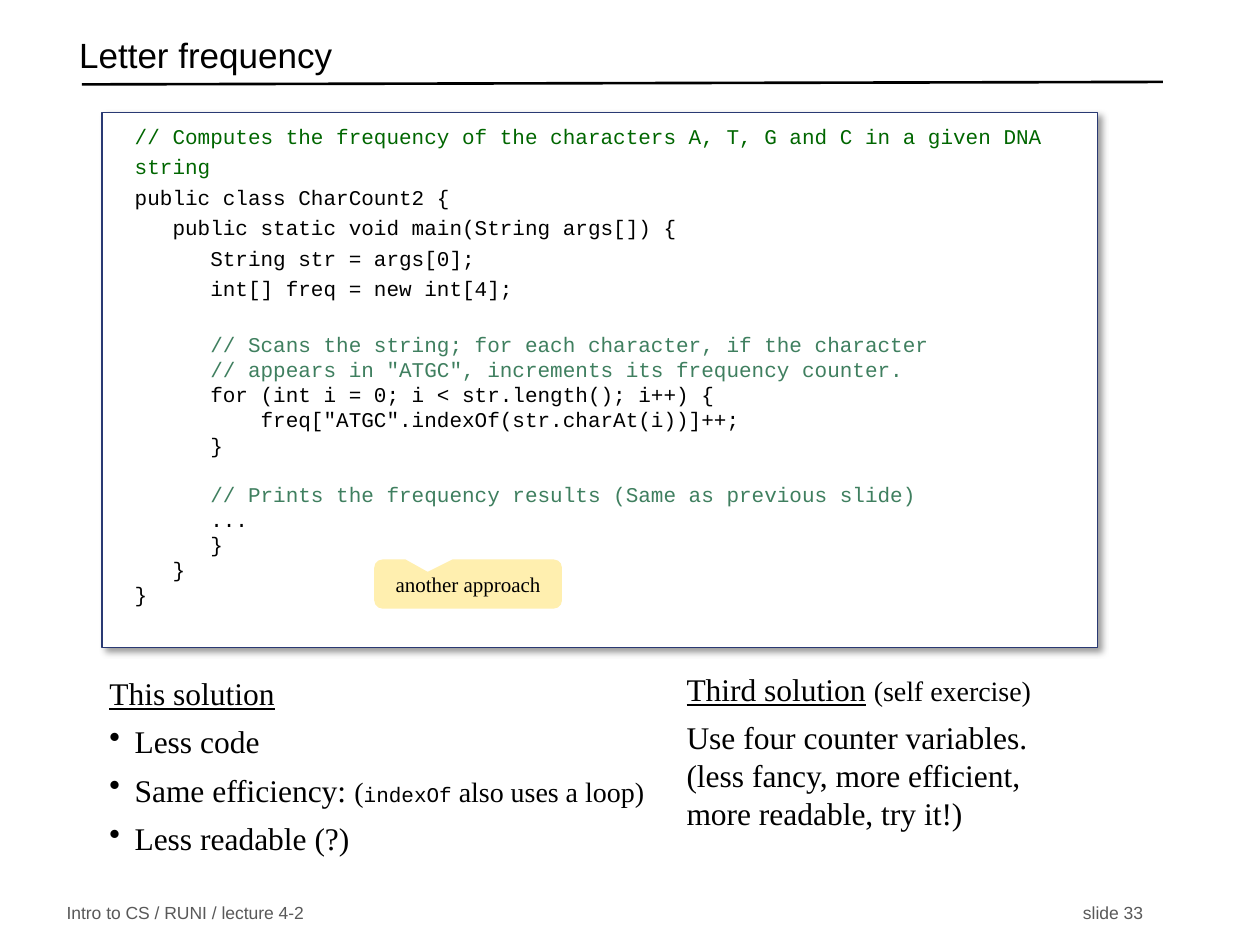
from lxml import etree
from pptx import Presentation
from pptx.dml.color import RGBColor
from pptx.enum.shapes import MSO_CONNECTOR, MSO_SHAPE
from pptx.enum.text import MSO_ANCHOR, PP_ALIGN
from pptx.oxml import parse_xml
from pptx.oxml.ns import qn
from pptx.util import Inches, Pt

LEFT, CENTER, RIGHT = PP_ALIGN.LEFT, PP_ALIGN.CENTER, PP_ALIGN.RIGHT
TOP, MIDDLE = MSO_ANCHOR.TOP, MSO_ANCHOR.MIDDLE
SANS, SERIF, MONO = "Arial", "Times New Roman", "Courier New"
COLORS = {
    "black": "000000", "white": "FFFFFF", "footer": "595959", "border": "293973",
    "header_comment": "006600", "comment": "3F7F5F", "callout": "FFEFAF",
}
DRAWING_NS = "http://schemas.openxmlformats.org/drawingml/2006/main"

TITLE = "Letter frequency"
FOOTERS = [("Intro to CS / RUNI / lecture 4-2", LEFT), ("slide 33", RIGHT)]
CALLOUT = "another approach"

OPENING_CODE = [
    "// Computes the frequency of the characters A, T, G and C in a given DNA string",
    "public class CharCount2 {",
    "   public static void main(String args[]) {",
    "      String str = args[0];",
    "      int[] freq = new int[4];",
]
SCAN_CODE = [
    "      // Scans the string; for each character, if the character",
    '      // appears in "ATGC", increments its frequency counter.',
    "      for (int i = 0; i < str.length(); i++) {",
    '          freq["ATGC".indexOf(str.charAt(i))]++;',
    "      }",
]
PRINT_CODE = [
    "      // Prints the frequency results (Same as previous slide)",
    "      ...",
    "      }",
    "   }",
    "}",
]
CODE_BLOCKS = [
    (OPENING_CODE, "header_comment", 17.4, 0),
    (SCAN_CODE, "comment", None, 17.4),
    (PRINT_CODE, "comment", None, 13.6),
]

HEADING = {"underline": True}
SMALL = {"size": 16}
THIS_SOLUTION = [
    {"runs": [("This solution", HEADING)]},
    {"runs": [("Less code", {})], "bullet": True},
    {"runs": [("Same efficiency: ", {}), ("(", SMALL),
              ("indexOf", {"size": 12, "font": MONO}),
              (" also uses a loop)", SMALL)], "bullet": True},
    {"runs": [("Less readable (?)", {})], "bullet": True},
]
THIRD_SOLUTION = [
    {"runs": [("Third solution", HEADING), (" ", {}), ("(self exercise)", SMALL)]},
    {"runs": [("Use four counter variables.\n(less fancy, more efficient,\n"
               "more readable, try it!)", {})]},
]
SOLUTIONS = [(0.77, 5.30, 4.76, THIS_SOLUTION), (5.35, 5.27, 4.45, THIRD_SOLUTION)]


def rgb(name):
    return RGBColor.from_string(COLORS[name])


def add_bullet(paragraph):
    properties = paragraph._p.get_or_add_pPr()
    properties.set("marL", str(Inches(0.2)))
    properties.set("indent", str(Inches(-0.2)))
    etree.SubElement(properties, qn("a:buChar")).set("char", "•")


def write(shape, paragraphs, size=18, font=SERIF, color="black", align=LEFT,
          anchor=TOP, insets=(0.1, 0.05, 0.1, 0.05), wrap=True, gap=0, spacing=None):
    frame = shape.text_frame
    frame.word_wrap = wrap
    frame.vertical_anchor = anchor
    (frame.margin_left, frame.margin_top,
     frame.margin_right, frame.margin_bottom) = map(Inches, insets)
    if isinstance(paragraphs, str):
        paragraphs = [{"runs": [(paragraphs, {})]}]
    for index, content in enumerate(paragraphs):
        paragraph = frame.add_paragraph() if index else frame.paragraphs[0]
        if content.get("bullet"):
            add_bullet(paragraph)
        paragraph.alignment = align
        paragraph.space_before = Pt(content.get("gap", gap) if index else 0)
        line_spacing = content.get("spacing", spacing)
        if line_spacing:
            paragraph.line_spacing = line_spacing
        for text, style in content["runs"]:
            for part, line in enumerate(text.split("\n")):
                if part:
                    paragraph.add_line_break()
                run = paragraph.add_run()
                run.text = line
                run.font.size = Pt(style.get("size", size))
                run.font.name = style.get("font", font)
                run.font.color.rgb = rgb(style.get("color", color))
                run.font.underline = style.get("underline", False)


def add_box(slide, left, top, width, height, preset=None, fill=None):
    place = [Inches(length) for length in (left, top, width, height)]
    if preset is None:
        return slide.shapes.add_textbox(*place)
    shape = slide.shapes.add_shape(preset, *place)
    shape.shadow.inherit = False
    shape.fill.solid()
    shape.fill.fore_color.rgb = rgb(fill)
    shape.line.fill.background()
    return shape


def code_paragraphs():
    paragraphs = []
    for lines, comment_color, spacing, gap in CODE_BLOCKS:
        for index, line in enumerate(lines):
            is_comment = line.lstrip().startswith("//")
            color = comment_color if is_comment else "black"
            paragraphs.append({
                "runs": [(line, {"color": color})],
                "spacing": Pt(spacing) if spacing else None,
                "gap": 0 if index else gap,
            })
    return paragraphs


def add_code_panel(slide):
    panel = add_box(slide, 0.81, 0.89, 7.9, 4.25, MSO_SHAPE.RECTANGLE, "white")
    panel.line.color.rgb = rgb("border")
    panel.line.width = Pt(0.75)
    effects = panel._element.spPr.find(qn("a:effectLst"))
    effects.append(parse_xml(
        f'<a:outerShdw xmlns:a="{DRAWING_NS}" blurRad="{Pt(4)}" dist="{Pt(3)}" '
        f'dir="{45 * 60000}" algn="tl" rotWithShape="0">'
        f'<a:srgbClr val="{COLORS["black"]}"><a:alpha val="40000"/></a:srgbClr>'
        '</a:outerShdw>'))
    write(panel, code_paragraphs(), size=12, font=MONO, insets=(0.26, 0.05, 0, 0.19))


def add_title_rule(slide):
    rule = slide.shapes.add_connector(
        MSO_CONNECTOR.STRAIGHT, Inches(0.65), Inches(0.67), Inches(9.23), Inches(0.65))
    rule.line.color.rgb = rgb("black")
    rule.line.width = Pt(1.5)
    etree.SubElement(rule._element.spPr, qn("a:effectLst"))


def main():
    deck = Presentation()
    deck.slide_width, deck.slide_height = Inches(10), Inches(7.5)
    slide = deck.slides.add_slide(deck.slide_layouts[6])

    add_title_rule(slide)
    for text, align in FOOTERS:
        footer = add_box(slide, 0.43, 7.14, 8.74, 0.21)
        write(footer, text, size=10, font=SANS, color="footer", align=align, anchor=MIDDLE)
    write(add_box(slide, 0.53, 0.22, 8.6, 0.5), TITLE,
          size=20, font=SANS, anchor=MIDDLE, spacing=0.7)

    add_code_panel(slide)

    callout = add_box(slide, 2.97, 4.44, 1.49, 0.39,
                      MSO_SHAPE.ROUNDED_RECTANGULAR_CALLOUT, "callout")
    for index, value in enumerate((-0.215, -0.247, 0.167)):
        callout.adjustments[index] = value
    write(callout, CALLOUT, size=12, align=CENTER, anchor=MIDDLE)

    for left, top, width, paragraphs in SOLUTIONS:
        write(add_box(slide, left, top, width, 1.5), paragraphs, gap=6)

    deck.save("out.pptx")


if __name__ == "__main__":
    main()
